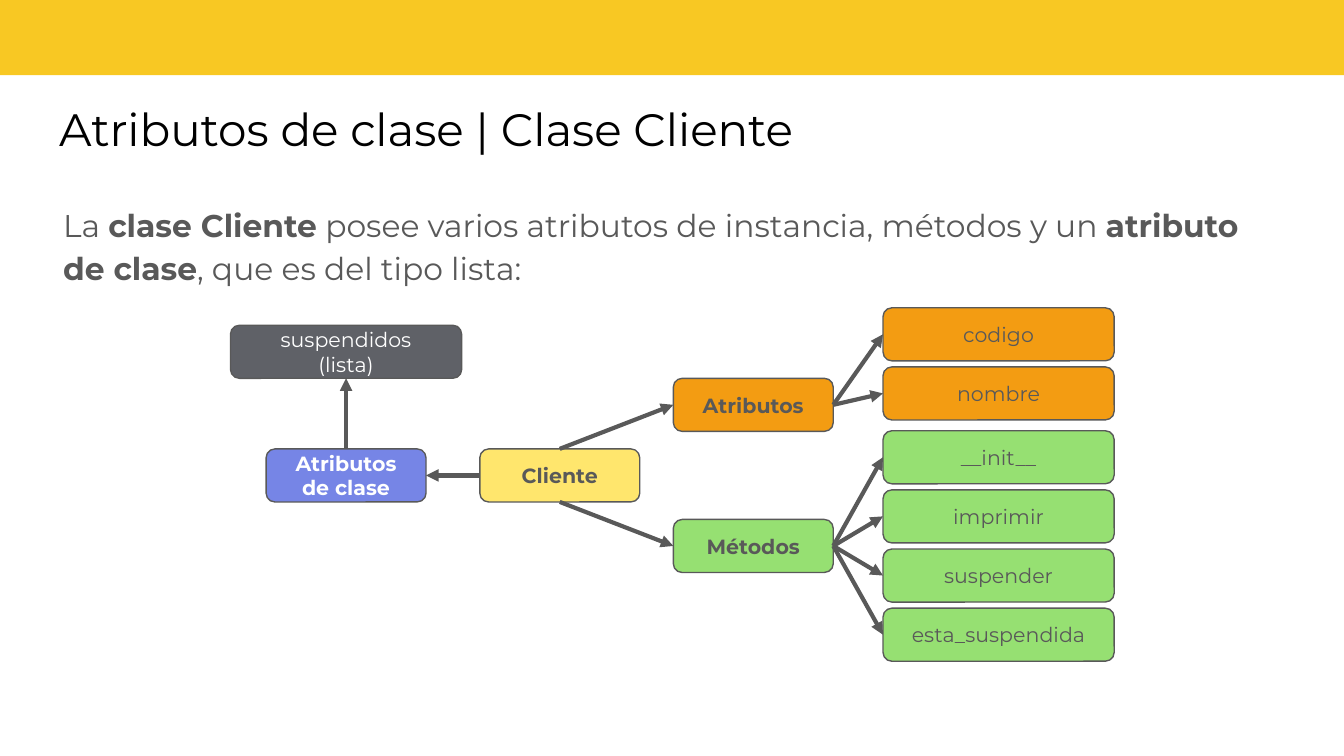
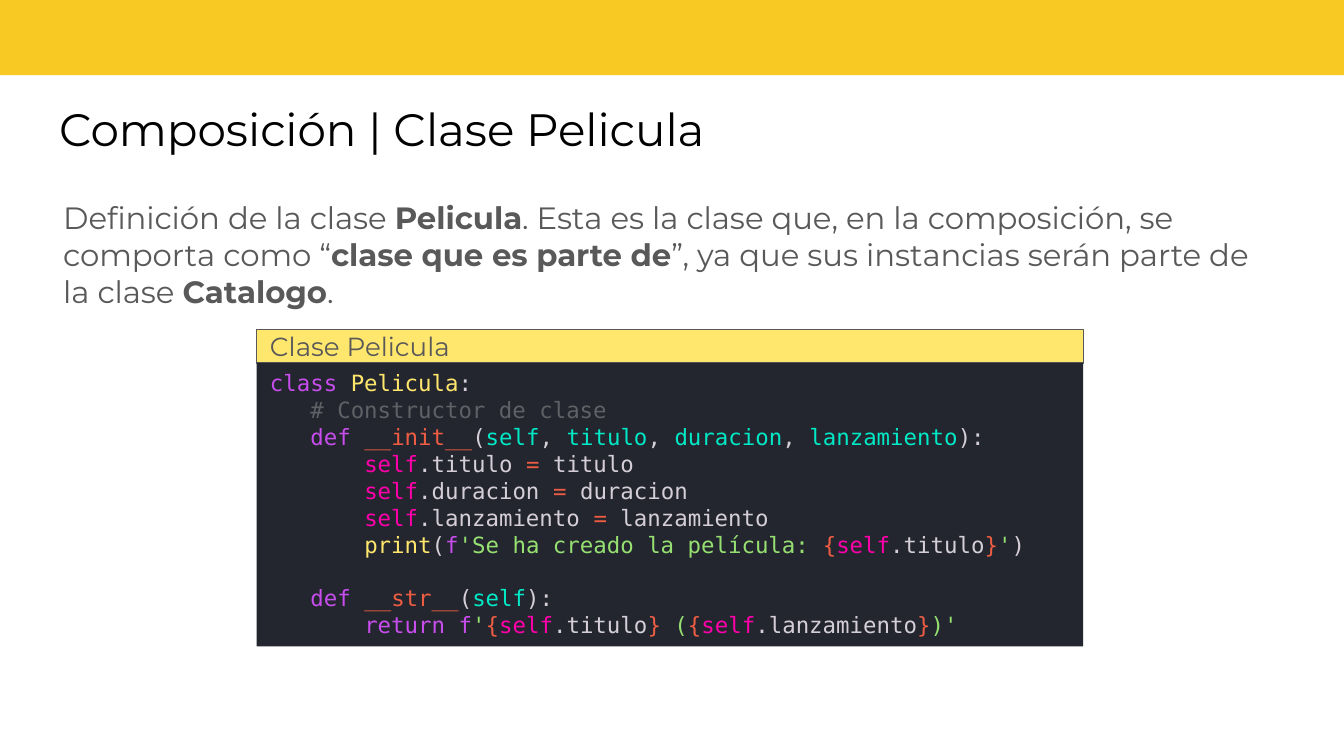
import dataclasses
import typing

import lxml.etree
import pptx
import pptx.dml.color
import pptx.enum.shapes
import pptx.enum.text
import pptx.oxml.ns
import pptx.text.text
import pptx.util

ALIGN = pptx.enum.text.PP_ALIGN
ANCHOR = pptx.enum.text.MSO_ANCHOR
SHAPE = pptx.enum.shapes.MSO_SHAPE
TOP, LEFT, BOTTOM, RIGHT = range(4)


@dataclasses.dataclass(frozen=True)
class Theme:
    band: str = "F8C823"
    black: str = "000000"
    white: str = "FFFFFF"
    gray: str = "595959"
    slate: str = "5F6167"
    sand: str = "FFE66D"
    amber: str = "F39C12"
    green: str = "96E072"
    blue: str = "7685E6"
    night: str = "23262E"
    sans: str = "Montserrat"
    mono: str = "DejaVu Sans Mono"
    title: float = 24.3
    bar: float = 14
    code: float = 12
    node: float = 11


THEME = Theme()
# Code colours, by the letter that opens each piece of a line
INKS = {"k": "C74DED", "w": "D5CED9", "y": THEME.sand, "c": THEME.slate,
        "o": "EE5D43", "t": "00E8C6", "m": "FF00AA", "s": THEME.green}

# Square grid: 100 columns across the slide, rows of the same size
WIDE, HIGH = pptx.util.Inches(10), pptx.util.Inches(5.625)
CELL = WIDE / 100


class Area(typing.NamedTuple):
    col: float
    row: float
    cols: float
    rows: float


class Node(typing.NamedTuple):
    text: str
    area: Area
    fill: str
    ink: str = THEME.gray
    bold: bool = False


class Link(typing.NamedTuple):
    start: str
    out: int
    end: str
    into: int


class Page(typing.NamedTuple):
    title: str
    body: str
    area: Area
    size: float
    lines: float


HUB, LEAF, TALL, STEP = 11.9, 17.2, 3.95, 4.4
FIELDS = ["codigo", "nombre"]
CALLS = ["__init__", "imprimir", "suspender", "esta_suspendida"]


def hub(text: str, col: float, row: float, fill: str,
        ink: str = THEME.gray) -> Node:
    return Node(text, Area(col, row, HUB, TALL), fill, ink, True)


def stack(names: list[str], row: float, fill: str) -> list[Node]:
    return [Node(name, Area(65.7, row + i * STEP, LEAF, TALL), fill)
            for i, name in enumerate(names)]


NODES = [
    hub("Cliente", 35.7, 33.4, THEME.sand),
    hub("Atributos", 50.1, 28.15, THEME.amber),
    hub("Métodos", 50.1, 38.65, THEME.green),
    hub("Atributos de clase", 19.8, 33.4, THEME.blue, THEME.white),
    Node("suspendidos\n(lista)", Area(17.15, 24.2, LEAF, TALL),
         THEME.slate, THEME.white),
    *stack(FIELDS, 22.9, THEME.amber),
    *stack(CALLS, 32.05, THEME.green),
]
LINKS = [
    Link("Cliente", TOP, "Atributos", LEFT),
    Link("Cliente", BOTTOM, "Métodos", LEFT),
    Link("Cliente", LEFT, "Atributos de clase", RIGHT),
    Link("Atributos de clase", TOP, "suspendidos\n(lista)", BOTTOM),
    *[Link("Atributos", RIGHT, name, LEFT) for name in FIELDS],
    *[Link("Métodos", RIGHT, name, LEFT) for name in CALLS],
]

# Asterisks enclose bold words
CLIENT = Page(
    "Atributos de clase | Clase Cliente",
    "La *clase Cliente* posee varios atributos de instancia, métodos y un "
    "*atributo de clase*, que es del tipo lista:",
    Area(4.7, 13.9, 90.5, 35.8), 16.8, 1.15)
FILM = Page(
    "Composición | Clase Pelicula",
    "Definición de la clase *Pelicula*. Esta es la clase que, en la "
    "composición, se comporta como “*clase que es parte de*”, ya que sus "
    "instancias serán parte de la clase *Catalogo*.",
    Area(4.7, 13.8, 90.5, 11.3), 16.5, 1.0)

CODE = [
    "k:class|w: |y:Pelicula|w::",
    "w:   |c:# Constructor de clase",
    "w:   |k:def|w: |o:__init__|w:(|t:self|w:, |t:titulo|w:, |t:duracion"
    "|w:, |t:lanzamiento|w:):",
    *[f"w:       |m:self|w:.{name} |o:=|w: {name}"
      for name in ("titulo", "duracion", "lanzamiento")],
    "w:       |y:print|w:(|k:f|s:'Se ha creado la película: |o:{|m:self"
    "|w:.titulo|o:}|s:'|w:)",
    "",
    "w:   |k:def|w: |o:__str__|w:(|t:self|w:):",
    "w:       |k:return|w: |k:f|s:'|o:{|m:self|w:.titulo|o:}|s: (|o:{"
    "|m:self|w:.lanzamiento|o:}|s:)'",
]


def dress(item: typing.Any, **values: typing.Any) -> None:
    for key, value in values.items():
        setattr(item, key, value)


def paint(font: typing.Any, size: float, ink: str, bold: bool = False,
          name: str = THEME.sans) -> None:
    dress(font, size=pptx.util.Pt(size), name=name, bold=bold)
    font.color.rgb = pptx.dml.color.RGBColor.from_string(ink)


def place(item: typing.Any, area: Area) -> None:
    left, top, width, height = (round(side * CELL) for side in area)
    dress(item, left=left, top=top, width=width, height=height)


def block(slide: typing.Any, kind: typing.Any, area: Area, fill: str,
          edge: bool = True) -> typing.Any:
    item = slide.shapes.add_shape(kind, 0, 0, 0, 0)
    place(item, area)
    item.shadow.inherit = False
    item.fill.solid()
    item.fill.fore_color.rgb = pptx.dml.color.RGBColor.from_string(fill)
    if edge:
        item.line.color.rgb = pptx.dml.color.RGBColor.from_string(THEME.gray)
        item.line.width = pptx.util.Pt(0.75)
    else:
        item.line.fill.background()
    return item


def label(item: typing.Any, text: str, size: float, ink: str, align: typing.Any,
          bold: bool = False) -> None:
    frame = item.text_frame
    dress(frame, text=text, word_wrap=True, vertical_anchor=ANCHOR.MIDDLE)
    for para in frame.paragraphs:
        para.alignment = align
        for run in para.runs:
            paint(run.font, size, ink, bold)


def arrow(slide: typing.Any, link: Link, made: dict[str, typing.Any]) -> None:
    line = slide.shapes.add_connector(
        pptx.enum.shapes.MSO_CONNECTOR.STRAIGHT, 0, 0, 0, 0)
    line.begin_connect(made[link.start], link.out)
    line.end_connect(made[link.end], link.into)
    line.line.color.rgb = pptx.dml.color.RGBColor.from_string(THEME.gray)
    line.line.width = pptx.util.Pt(2.25)
    props = line._element.spPr
    lxml.etree.SubElement(props.find(pptx.oxml.ns.qn("a:ln")),
                          pptx.oxml.ns.qn("a:tailEnd"), type="triangle")
    lxml.etree.SubElement(props, pptx.oxml.ns.qn("a:effectLst"))


def start(deck: typing.Any, layout: typing.Any, page: Page) -> typing.Any:
    """Add a slide with its title and its paragraph."""
    slide = deck.slides.add_slide(layout)
    title, body = slide.placeholders
    place(title, Area(3.4, 6.5, 93, 6.3))
    label(title, page.title, THEME.title, THEME.black, ALIGN.LEFT)
    dress(title.text_frame, vertical_anchor=ANCHOR.TOP,
          auto_size=pptx.enum.text.MSO_AUTO_SIZE.NONE,
          **{f"margin_{side}": round(CELL)
             for side in ("left", "right", "top", "bottom")})
    place(body, page.area)
    frame = body.text_frame
    dress(frame, margin_left=0, margin_right=0, margin_top=round(CELL),
          margin_bottom=round(CELL), word_wrap=True,
          auto_size=pptx.enum.text.MSO_AUTO_SIZE.NONE)
    para = frame.paragraphs[0]
    props = para._p.get_or_add_pPr()
    for key in ("marL", "indent"):
        props.set(key, "0")
    lxml.etree.SubElement(props, pptx.oxml.ns.qn("a:buNone"))
    dress(para, alignment=ALIGN.LEFT, line_spacing=page.lines,
          space_before=pptx.util.Pt(0))
    for i, text in enumerate(page.body.split("*")):
        run = para.add_run()
        run.text = text
        paint(run.font, page.size, THEME.gray, i % 2 == 1)
    return slide


def graph(slide: typing.Any) -> None:
    made = {}
    for node in NODES:
        item = block(slide, SHAPE.FLOWCHART_ALTERNATE_PROCESS, node.area,
                     node.fill)
        label(item, node.text, THEME.node, node.ink, ALIGN.CENTER, node.bold)
        made[node.text] = item
    for link in LINKS:
        arrow(slide, link, made)


def listing(slide: typing.Any) -> None:
    bar = block(slide, SHAPE.RECTANGLE, Area(19.1, 24.5, 61.5, 2.5), THEME.sand)
    label(bar, "Clase Pelicula", THEME.bar, THEME.gray, ALIGN.LEFT)
    panel = block(slide, SHAPE.RECTANGLE, Area(19.1, 27, 61.5, 21.1),
                  THEME.night, False)
    frame = panel.text_frame
    dress(frame, word_wrap=True, vertical_anchor=ANCHOR.TOP)
    for i, line in enumerate(CODE):
        para = frame.add_paragraph() if i else frame.paragraphs[0]
        para.alignment = ALIGN.LEFT
        if not line:
            font = pptx.text.text.Font(para._p.get_or_add_endParaRPr())
            paint(font, THEME.code, INKS["w"], name=THEME.mono)
            continue
        for piece in line.split("|"):
            ink, text = piece.split(":", 1)
            run = para.add_run()
            run.text = text
            paint(run.font, THEME.code, INKS[ink], name=THEME.mono)


def main() -> None:
    deck = pptx.Presentation()
    dress(deck, slide_width=WIDE, slide_height=HIGH)
    layout = deck.slide_layouts[1]
    first = start(deck, layout, CLIENT)
    band = block(first, SHAPE.RECTANGLE, Area(0, 0, 100, 5.6), THEME.band, False)
    layout.shapes._spTree.insert(2, band._element)  # shared by every slide
    graph(first)
    listing(start(deck, layout, FILM))
    deck.save("out.pptx")


if __name__ == "__main__":
    main()
